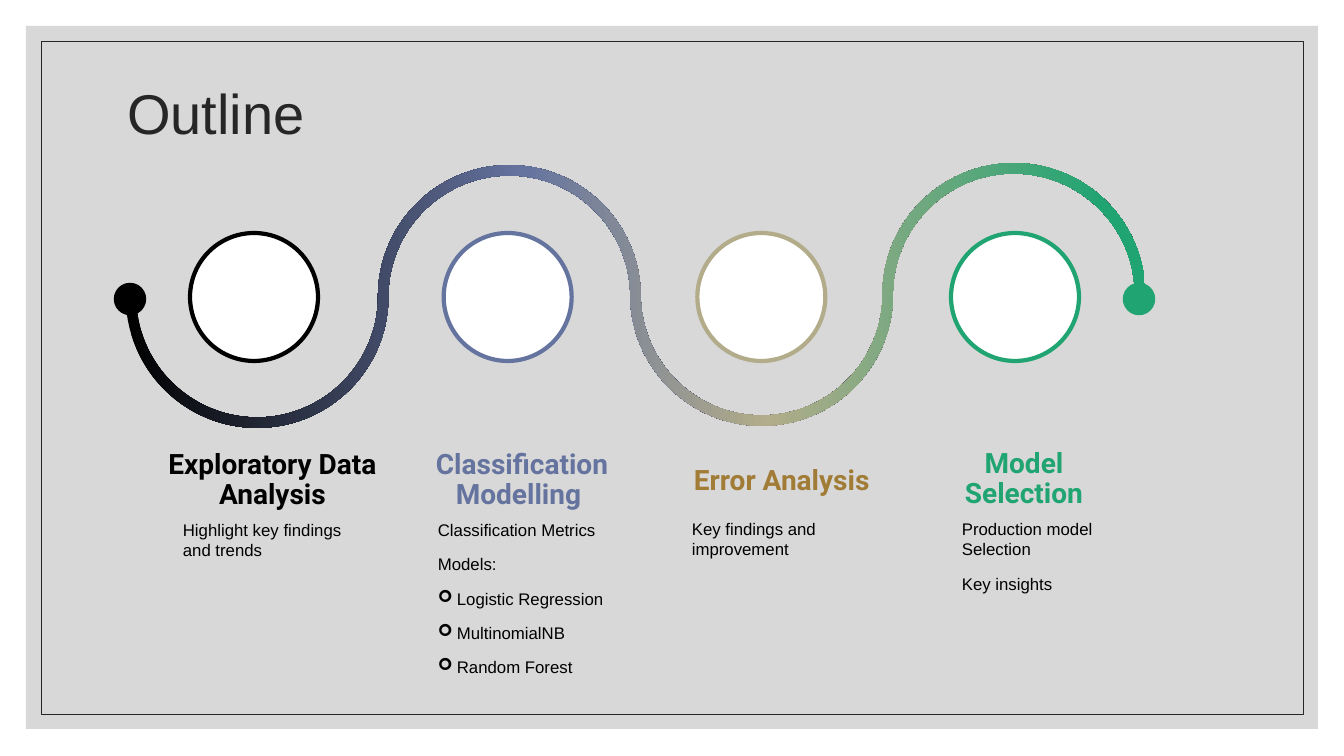
import math

from lxml import etree
from pptx import Presentation
from pptx.dml.color import RGBColor
from pptx.enum.shapes import MSO_SHAPE
from pptx.enum.text import MSO_ANCHOR, MSO_AUTO_SIZE, PP_ALIGN
from pptx.oxml.ns import qn
from pptx.util import Pt

RECTANGLE, OVAL = MSO_SHAPE.RECTANGLE, MSO_SHAPE.OVAL
LEFT, CENTER = PP_ALIGN.LEFT, PP_ALIGN.CENTER
MIDDLE, TOP = MSO_ANCHOR.MIDDLE, MSO_ANCHOR.TOP
NO_AUTOFIT = MSO_AUTO_SIZE.NONE

BLACK = RGBColor(0x00, 0x00, 0x00)
WHITE = RGBColor(0xFF, 0xFF, 0xFF)
GRAY = RGBColor(0xBF, 0xBF, 0xBF)
CHARCOAL = RGBColor(0x26, 0x26, 0x26)
BLUE = RGBColor(0x65, 0x73, 0x9F)
SAND = RGBColor(0xB2, 0xAC, 0x8A)
BRONZE = RGBColor(0xA1, 0x7C, 0x36)
GREEN = RGBColor(0x20, 0xA4, 0x72)

EMU_PER_PIXEL = 914400 / 100.8
BULLET = "\u27a2"
QUARTER_HANDLE = 4 / 3 * (math.sqrt(2) - 1)
WAVE_STOPS = [(0, BLACK), (39, BLUE), (63, SAND), (96, GREEN)]
RING_COLORS = [BLACK, BLUE, SAND, GREEN]

STEPS = [
    ("Exploratory Data Analysis", BLACK, CENTER, (126, 445, 293, 33),
     ["Highlight key findings and trends"], [], (173, 515, 200, 78)),
    ("Classification Modelling ", BLUE, CENTER, (423, 445, 198, 33),
     ["Classification Metrics", "Models:"],
     ["Logistic Regression", "MultinomialNB", "Random Forest"], (428, 515, 232, 171)),
    ("Error Analysis", BRONZE, LEFT, (684, 461, 198, 33),
     ["Key findings and improvement "], [], (682, 514, 200, 78)),
    ("Model Selection", GREEN, CENTER, (925, 444, 198, 69),
     ["Production model Selection ", "Key insights "], [], (952, 514, 200, 78)),
]


def emu(pixels):
    return round(pixels * EMU_PER_PIXEL)


def add_preset(slide, kind, box, fill=None, line=None, line_width=1):
    shape = slide.shapes.add_shape(kind, *map(emu, box))
    shape.shadow.inherit = False
    if fill is None:
        shape.fill.background()
    else:
        shape.fill.solid()
        shape.fill.fore_color.rgb = fill
    if line is None:
        shape.line.fill.background()
    else:
        shape.line.color.rgb = line
        shape.line.width = Pt(line_width)
    return shape


def style_paragraph(paragraph, font_name, size, color, bold=False, alignment=LEFT):
    paragraph.alignment = alignment
    paragraph.font.name = font_name
    paragraph.font.size = Pt(size)
    paragraph.font.color.rgb = color
    paragraph.font.bold = bold


def add_master_frame(slide, box):
    left, top, width, height = box
    panel = add_preset(slide, RECTANGLE, box, fill=GRAY)
    color = panel.fill._xPr.find(qn("a:solidFill"))[0]
    etree.SubElement(color, qn("a:alpha"), val="60000")
    inset = 15
    inner_box = (left + inset, top + inset, width - 2 * inset, height - 2 * inset)
    border = add_preset(slide, RECTANGLE, inner_box, line=CHARCOAL, line_width=0.5)
    master_shapes = slide.slide_layout.slide_master.shapes.element
    for position, shape in enumerate((panel, border), start=2):
        master_shapes.insert(position, shape.element)


def add_title(slide, box, text):
    title = slide.shapes.title
    title.left, title.top, title.width, title.height = map(emu, box)
    frame = title.text_frame
    frame.text = text
    frame.auto_size = NO_AUTOFIT
    frame.vertical_anchor = MIDDLE
    paragraph = frame.paragraphs[0]
    paragraph.line_spacing = 0.9
    style_paragraph(paragraph, "Arial", 40, CHARCOAL)


def wave_quarters(left, middle, lobe_width, offset):
    quarters = []
    for lobe in range(4):
        direction = 1 if lobe % 2 == 0 else -1
        radius = lobe_width / 2 + direction * offset
        handle = radius * QUARTER_HANDLE
        x = left + lobe_width * (lobe + 0.5)
        y = middle - 2 * (lobe // 2)
        peak = y + direction * radius
        bend = y + direction * handle
        quarters.append([(x - radius, y), (x - radius, bend), (x - handle, peak), (x, peak)])
        quarters.append([(x, peak), (x + handle, peak), (x + radius, bend), (x + radius, y)])
    return quarters


def add_curved_outline(slide, curves):
    corners = [(emu(x), emu(y)) for curve in curves for x, y in (curve[0], curve[-1])]
    builder = slide.shapes.build_freeform(*corners[0])
    builder.add_line_segments(corners[1:], close=True)
    shape = builder.convert_to_shape()
    lines = list(shape.element.iter(qn("a:lnTo")))
    for line, curve in zip(lines[::2], curves):
        bezier = etree.Element(qn("a:cubicBezTo"))
        for x, y in curve[1:]:
            etree.SubElement(bezier, qn("a:pt"), x=str(emu(x) - shape.left),
                             y=str(emu(y) - shape.top))
        line.getparent().replace(line, bezier)
    for line, curve, following in zip(lines[1::2], curves, curves[1:]):
        if curve[-1] == following[0]:
            line.getparent().remove(line)
    return shape


def add_wave(slide, box):
    left, top, width, height = box
    lobe_width = width / 4
    middle = top + height / 2
    half_band = 5.25
    lower = wave_quarters(left, middle, lobe_width, half_band)
    upper = wave_quarters(left, middle, lobe_width, -half_band)
    wave = add_curved_outline(slide, lower + [curve[::-1] for curve in reversed(upper)])
    wave.shadow.inherit = False
    wave.line.fill.background()
    wave.fill.gradient()
    wave.fill.gradient_angle = 0
    stops = wave.element.spPr.find(qn("a:gradFill")).find(qn("a:gsLst"))
    for stop in list(stops):
        stops.remove(stop)
    for percent, color in WAVE_STOPS:
        stop = etree.SubElement(stops, qn("a:gs"), pos=str(percent * 1000))
        etree.SubElement(stop, qn("a:srgbClr"), val=str(color))

    dot = 24
    for center_x, color in ((left, BLACK), (left + width, GREEN)):
        dot_box = (center_x - dot / 2 - 1, top + 122, dot, dot)
        add_preset(slide, OVAL, dot_box, color, color, 6)


def add_rings(slide, box):
    left, top, width, diameter = box
    pitch = (width - diameter) / (len(RING_COLORS) - 1)
    for index, color in enumerate(RING_COLORS):
        ring_box = (left + index * pitch, top, diameter, diameter)
        add_preset(slide, OVAL, ring_box, WHITE, color, 3)


def add_text_box(slide, box):
    frame = slide.shapes.add_textbox(*map(emu, box)).text_frame
    frame.word_wrap = True
    frame.vertical_anchor = TOP
    return frame


def add_heading(slide, box, text, color, alignment):
    paragraph = add_text_box(slide, box).paragraphs[0]
    paragraph.text = text
    paragraph.line_spacing = 0.9
    paragraph.space_before = Pt(10)
    style_paragraph(paragraph, "Roboto", 20, color, True, alignment)


def add_details(slide, box, lines, bullets):
    frame = add_text_box(slide, box)
    frame.text = "\n".join(lines + bullets)
    for paragraph in frame.paragraphs:
        paragraph.space_before = Pt(10)
        style_paragraph(paragraph, "Arial", 12, BLACK)
    for paragraph in frame.paragraphs[len(lines):]:
        properties = paragraph._p.get_or_add_pPr()
        properties.set("marL", str(emu(19)))
        properties.set("indent", str(-emu(19)))
        spacing = properties.find(qn("a:spcBef"))
        spacing.addnext(etree.Element(qn("a:buChar"), char=BULLET))
        spacing.addnext(etree.Element(qn("a:buFont"), typeface="Wingdings", charset="2"))


def build_outline_slide(presentation):
    slide = presentation.slides.add_slide(presentation.slide_layouts[5])
    add_master_frame(slide, (26, 26, 1292, 703))
    add_title(slide, (117, 41, 1109, 151), "Outline")
    add_rings(slide, (190, 233, 889, 128))
    add_wave(slide, (131, 165, 1009, 263))
    for heading, color, alignment, heading_box, lines, bullets, details_box in STEPS:
        add_heading(slide, heading_box, heading, color, alignment)
        add_details(slide, details_box, lines, bullets)


presentation = Presentation()
presentation.slide_width = emu(1344)
presentation.slide_height = emu(756)
build_outline_slide(presentation)
presentation.save("out.pptx")
